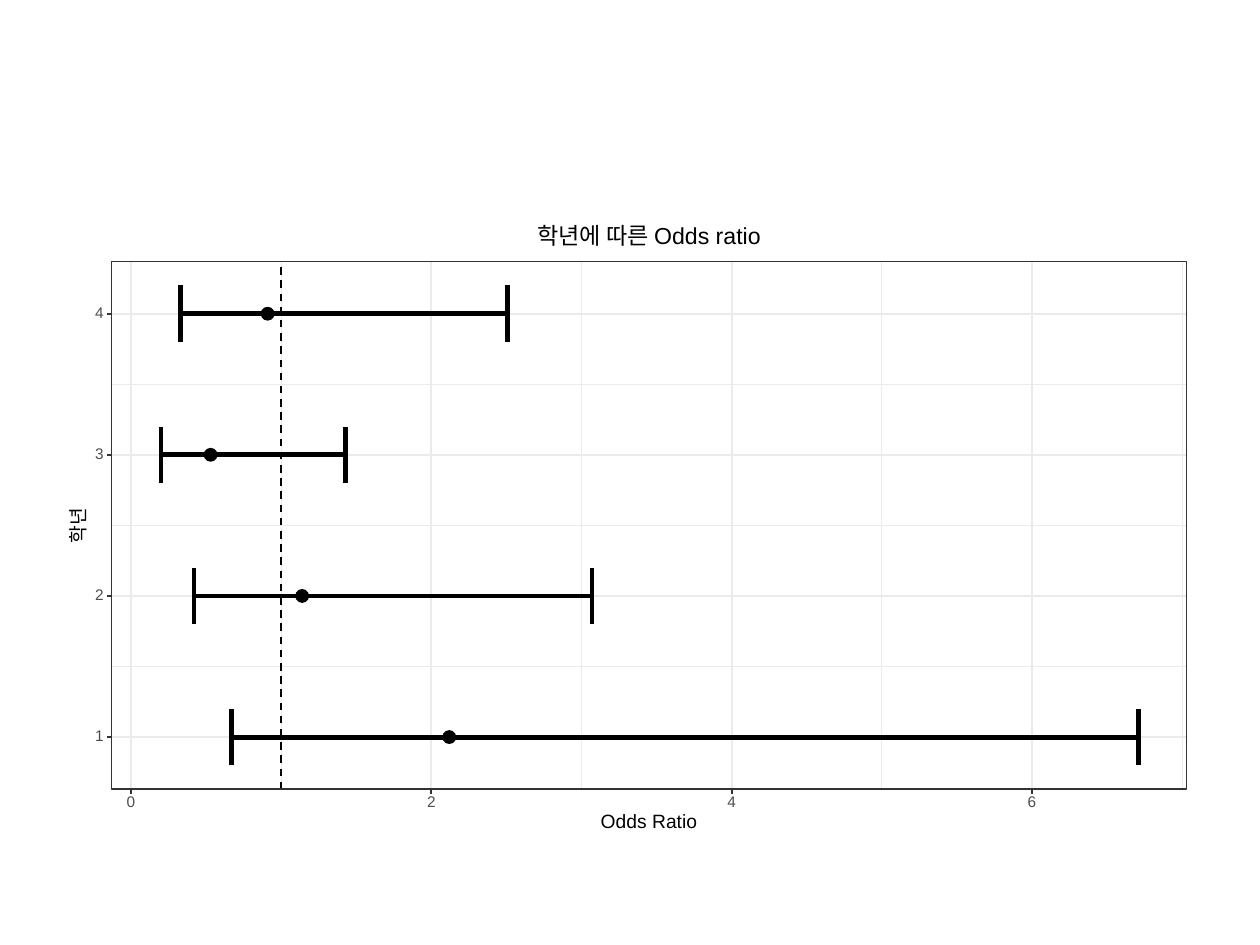
from lxml.etree import SubElement
from pptx import Presentation
from pptx.dml.color import RGBColor
from pptx.enum.dml import MSO_LINE
from pptx.enum.shapes import MSO_CONNECTOR, MSO_SHAPE
from pptx.enum.text import MSO_ANCHOR, PP_ALIGN
from pptx.oxml.ns import qn
from pptx.util import Inches, Pt

HUES = {"paper": "FFFFFF", "grid": "EBEBEB", "ink": "000000",
        "frame": "333333", "label": "4D4D4D"}
LEFT, RIGHT, BASE, TOP = -0.13, 7.03, 0.63, 4.37
ODDS = {1: (0.67, 2.12, 6.71), 2: (0.42, 1.14, 3.07),
        3: (0.2, 0.53, 1.43), 4: (0.33, 0.91, 2.51)}
TICKS = (0, 2, 4, 6)


class Plot:
    """Draw on a slide in units of odds (columns) and grades (rows)."""

    def __init__(self, slide):
        self.shapes = slide.shapes.add_group_shape().shapes
        self.font = "Arial"
        self.col, self.row = 7.15 / 6, 1.12

    def spot(self, x, y):
        return Inches(1.04 + self.col * x), Inches(6.97 - self.row * y)

    def hue(self, name):
        return RGBColor.from_string(HUES[name])

    def line(self, x1, y1, x2, y2, hue, width, dash=None):
        item = self.shapes.add_connector(
            MSO_CONNECTOR.STRAIGHT, *self.spot(x1, y1), *self.spot(x2, y2))
        item.line.color.rgb = self.hue(hue)
        item.line.width = Pt(width)
        if dash:
            item.line.dash_style = dash
        SubElement(item._element.spPr, qn("a:effectLst"))

    def shape(self, kind, x1, y1, x2, y2, fill=None, edge=None, width=1.07):
        left, top = self.spot(x1, y2)
        right, base = self.spot(x2, y1)
        item = self.shapes.add_shape(kind, left, top, right - left, base - top)
        item.shadow.inherit = False
        if fill:
            item.fill.solid()
            item.fill.fore_color.rgb = self.hue(fill)
        else:
            item.fill.background()
        if edge:
            item.line.color.rgb = self.hue(edge)
            item.line.width = Pt(width)
        else:
            item.line.fill.background()

    def rect(self, *box, **style):
        self.shape(MSO_SHAPE.RECTANGLE, *box, **style)

    def dot(self, x, y):
        dx, dy = 0.05 / self.col, 0.05 / self.row
        self.shape(MSO_SHAPE.OVAL, x - dx, y - dy, x + dx, y + dy,
                   fill="ink", edge="ink", width=0.71)

    def span(self, low, high, y, cap=0.2):
        for x in (high, low):
            self.line(x, y - cap, x, y + cap, "ink", 2.77)
        self.line(low, y, high, y, "ink", 2.77)

    def text(self, words, x, y, wide, high, size, hue="ink", turn=0):
        left, top = self.spot(x - wide / 2, y + high / 2)
        box = self.shapes.add_textbox(
            left, top, Inches(wide * self.col), Inches(high * self.row))
        box.rotation = turn
        frame = box.text_frame
        frame.word_wrap = False
        frame.vertical_anchor = MSO_ANCHOR.MIDDLE
        frame.margin_left = frame.margin_right = 0
        frame.margin_top = frame.margin_bottom = 0
        para = frame.paragraphs[0]
        para.text = words
        para.alignment = PP_ALIGN.CENTER
        para.line_spacing = Pt(size)
        para.font.name = self.font
        para.font.size = Pt(size)
        para.font.color.rgb = self.hue(hue)

    def mesh(self, cols, rows, width):
        for y in rows:
            self.line(LEFT, y, RIGHT, y, "grid", width)
        for x in cols:
            self.line(x, BASE, x, TOP, "grid", width)


def main():
    deck = Presentation()
    deck.slide_width, deck.slide_height = Inches(10), Inches(7.5)
    plot = Plot(deck.slides.add_slide(deck.slide_layouts[6]))

    for width in (0.75, 1.07):
        plot.rect(-0.45, 0.24, 7.1, 4.66, fill="paper", edge="paper", width=width)
    plot.rect(LEFT, BASE, RIGHT, TOP, fill="paper")
    plot.mesh((1, 3, 5, 7), (1.5, 2.5, 3.5), 0.53)
    plot.mesh(TICKS, ODDS, 1.07)

    for grade, (low, mid, high) in ODDS.items():
        plot.dot(mid, grade)
        plot.span(low, high, grade)
    plot.line(1, BASE, 1, TOP, "ink", 1.07, MSO_LINE.DASH)
    plot.rect(LEFT, BASE, RIGHT, TOP, edge="frame")

    for grade in ODDS:
        plot.text(str(grade), -0.21, grade, 0.06, 0.08, 8.8, "label")
        plot.line(LEFT - 0.03, grade, LEFT, grade, "frame", 1.07)
    for tick in TICKS:
        plot.line(tick, BASE - 0.03, tick, BASE, "frame", 1.07)
        plot.text(str(tick), tick, 0.53, 0.06, 0.08, 8.8, "label")

    mid = (LEFT + RIGHT) / 2
    plot.text("Odds Ratio", mid, 0.39, 0.68, 0.1, 11)
    plot.text("학년", -0.34, 2.5, 0.26, 0.09, 11, turn=270)
    plot.text("학년에 따른 Odds ratio", mid, 4.54, 1.6, 0.12, 13.2)
    deck.save("out.pptx")


if __name__ == "__main__":
    main()
